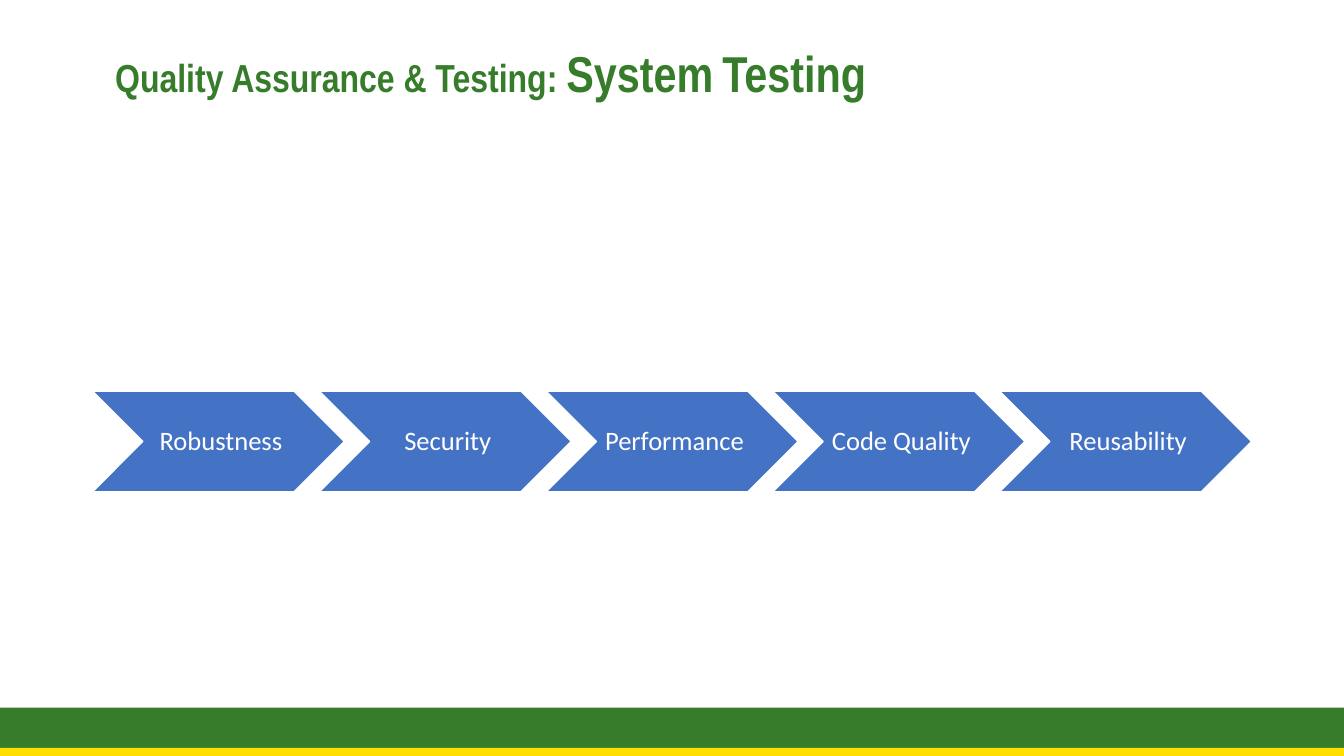
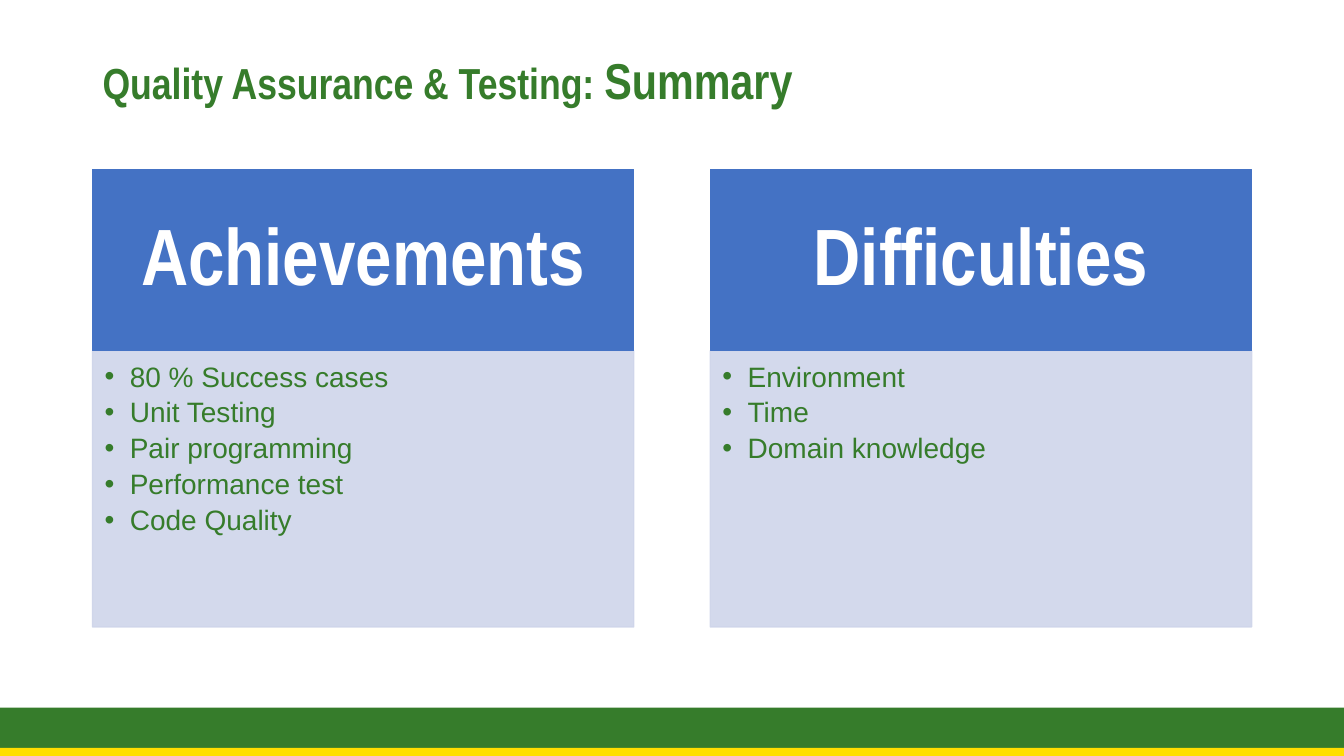
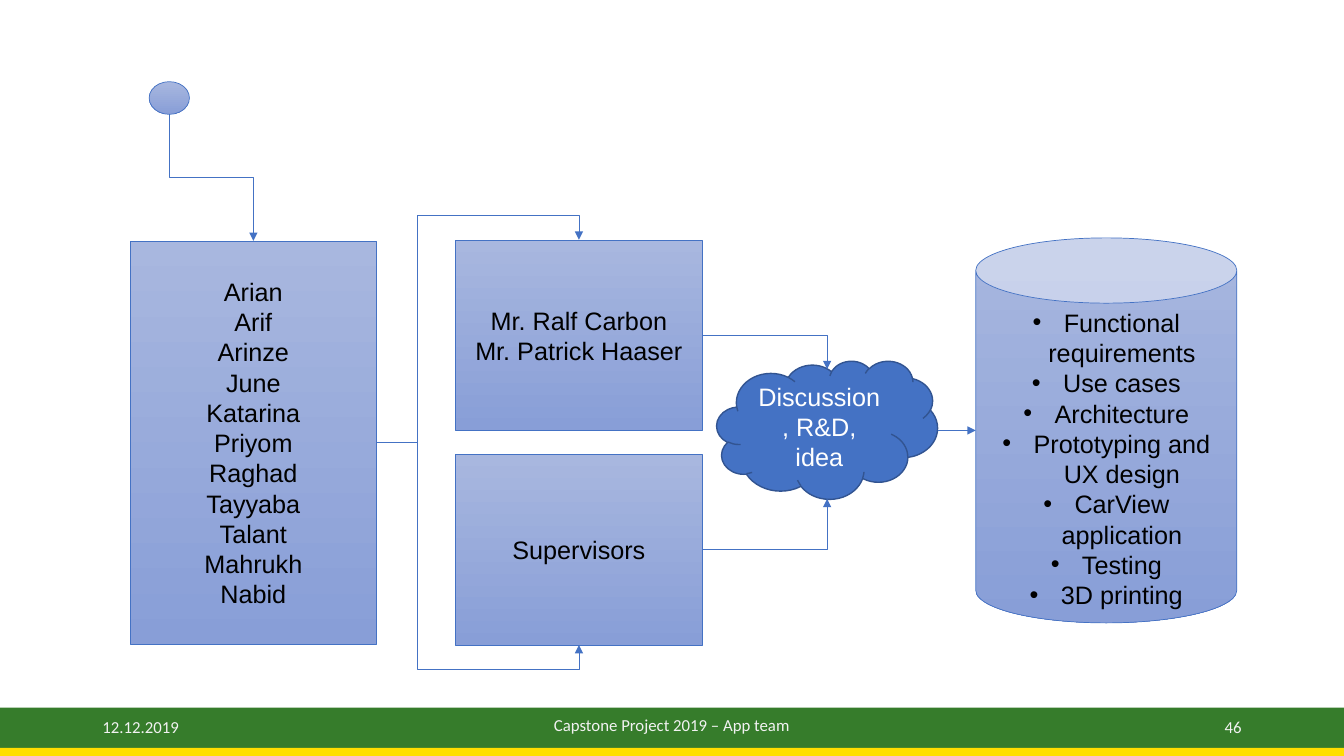
from dataclasses import dataclass, replace
from typing import Any, Optional

from lxml.etree import SubElement
from pptx import Presentation
from pptx.dml.color import RGBColor
from pptx.enum.shapes import MSO_CONNECTOR, MSO_SHAPE
from pptx.enum.text import MSO_ANCHOR, MSO_AUTO_SIZE, PP_ALIGN
from pptx.oxml.ns import qn
from pptx.util import Emu, Inches, Pt

SLIDE_WIDTH, SLIDE_HEIGHT = Inches(13.333), Inches(7.5)
GREEN, YELLOW, BLUE, WHITE = "367C2B", "FFDE00", "4472C4", "FFFFFF"
PALE, NAVY, BLACK, FOOTER_GREY = "CFD5EA", "325491", "000000", "F2F2F2"
GRADIENT = ("A8B7DF", "889ED7")
MARGIN, CONTENT = 6.88, 86.25  # percent of the slide width


@dataclass(frozen=True)
class Box:
    """A place on the page, in percent of the slide's width and height."""
    left: float
    top: float
    width: float
    height: float

    def values(self) -> dict[str, Emu]:
        return {
            "left": Emu(int(SLIDE_WIDTH * self.left / 100)),
            "top": Emu(int(SLIDE_HEIGHT * self.top / 100)),
            "width": Emu(int(SLIDE_WIDTH * self.width / 100)),
            "height": Emu(int(SLIDE_HEIGHT * self.height / 100)),
        }


@dataclass(frozen=True)
class Style:
    size: float
    color: str
    font: str = "Arial"
    bold: bool = False
    align: PP_ALIGN = PP_ALIGN.CENTER
    anchor: MSO_ANCHOR = MSO_ANCHOR.MIDDLE
    insets: tuple[float, float, float, float] = (0.1, 0.05, 0.1, 0.05)
    line_spacing: float = 1.0
    space_after: float = 0
    bullet_indent: float = 0
    wrap: bool = True


@dataclass(frozen=True)
class Span:
    text: str
    size: Optional[float] = None


@dataclass(frozen=True)
class Panel:
    heading: str
    items: list[str]


@dataclass(frozen=True)
class Node:
    name: str
    kind: MSO_SHAPE
    box: Box
    lines: list[str]
    style: Style
    fill: tuple[str, ...] = GRADIENT
    line: tuple[str, float] = (BLUE, 0.5)


@dataclass(frozen=True)
class End:
    """A connection site, and its place as shares of the node's box."""
    node: str
    site: int
    across: float
    down: float


@dataclass(frozen=True)
class Link:
    start: End
    end: End
    preset: str
    bends: tuple[float, ...] = ()
    vertical: bool = False


TITLE = Style(36, GREEN, "Arial Narrow", True, PP_ALIGN.LEFT, line_spacing=0.9)
CHEVRON = Style(19, WHITE, "Calibri", insets=(0.08, 0.03, 0.03, 0.03),
                line_spacing=0.9, wrap=False)
PANEL_HEAD = Style(57, WHITE, "Arial Narrow", True,
                   insets=(0.44, 0.25, 0.44, 0.25), line_spacing=0.9)
PANEL_LIST = Style(20, GREEN, align=PP_ALIGN.LEFT, anchor=MSO_ANCHOR.TOP,
                   insets=(0.12, 0.12, 0.16, 0.17), line_spacing=0.9,
                   space_after=4, bullet_indent=0.25)
FOOTER = Style(12, FOOTER_GREY, "Calibri")
NODE = Style(18, BLACK)
CAN = replace(NODE, insets=(0.1, 0.28, 0.1, 0.05), bullet_indent=0.31)

STEPS = ["Robustness", "Security", "Performance", "Code Quality", "Reusability"]
PANELS = [
    Panel("Achievements", ["80 % Success cases", "Unit Testing", "Pair programming",
                           "Performance test", "Code Quality"]),
    Panel("Difficulties", ["Environment", "Time", "Domain knowledge"]),
]
NODES = [
    Node("start", MSO_SHAPE.OVAL, Box(11.1, 10.8, 3, 4.33), [], NODE),
    Node("team", MSO_SHAPE.RECTANGLE, Box(9.68, 31.87, 18.35, 53.33),
         ["Arian", "Arif", "Arinze", "June", "Katarina", "Priyom", "Raghad",
          "Tayyaba", "Talant", "Mahrukh", "Nabid"], NODE),
    Node("clients", MSO_SHAPE.RECTANGLE, Box(33.9, 31.73, 18.35, 25.2),
         ["Mr. Ralf Carbon", "Mr. Patrick Haaser"], NODE),
    Node("supervisors", MSO_SHAPE.RECTANGLE, Box(33.9, 60.13, 18.35, 25.2),
         ["Supervisors"], NODE),
    Node("results", MSO_SHAPE.CAN, Box(72.6, 31.47, 19.43, 50.93),
         ["Functional requirements", "Use cases", "Architecture",
          "Prototyping and UX design", "CarView application", "Testing",
          "3D printing"], CAN),
    Node("discussion", MSO_SHAPE.CLOUD, Box(53.33, 47.73, 16.43, 18.27),
         ["Discussion, R&D, idea"], replace(NODE, color=WHITE), (BLUE,), (NAVY, 1)),
]
TEAM_RIGHT = End("team", 3, 1, 0.5)
LINKS = [
    Link(End("start", 4, 0.5, 1), End("team", 0, 0.5, 0), "bentConnector3", (0.5,), True),
    Link(TEAM_RIGHT, End("clients", 0, 0.5, 0), "bentConnector4", (0.2, 1.12)),
    Link(TEAM_RIGHT, End("supervisors", 2, 0.5, 1), "bentConnector4", (0.2, 1.12)),
    Link(End("clients", 3, 1, 0.5), End("discussion", 3, 0.5, 0.06), "bentConnector2"),
    Link(End("supervisors", 3, 1, 0.5), End("discussion", 1, 0.5, 1), "bentConnector2"),
    Link(End("discussion", 0, 1, 0.5), End("results", 2, 0, 0.5), "bentConnector3", (0.5,)),
]


def rgb(value: str) -> RGBColor:
    return RGBColor.from_string(value)


def apply(target: Any, values: dict[str, Any]) -> None:
    for name, value in values.items():
        setattr(target, name, value)


def write(frame: Any, paragraphs: list[list[Span]], style: Style) -> None:
    """Fill a text frame with styled paragraphs."""
    left, top, right, bottom = map(Inches, style.insets)
    apply(frame, {"auto_size": MSO_AUTO_SIZE.NONE, "word_wrap": style.wrap,
                  "vertical_anchor": style.anchor, "margin_left": left,
                  "margin_top": top, "margin_right": right, "margin_bottom": bottom})
    for index, spans in enumerate(paragraphs):
        para = frame.add_paragraph() if index else frame.paragraphs[0]
        if style.bullet_indent:
            properties = para._p.get_or_add_pPr()
            indent = Inches(style.bullet_indent)
            properties.set("marL", str(indent))
            properties.set("indent", str(-indent))
            SubElement(properties, qn("a:buFont"), typeface="Arial")
            SubElement(properties, qn("a:buChar"), char="•")
        apply(para, {"alignment": style.align, "line_spacing": style.line_spacing,
                     "space_before": Pt(0), "space_after": Pt(style.space_after)})
        for span in spans:
            run = para.add_run()
            run.text = span.text
            apply(run.font, {"name": style.font, "size": Pt(span.size or style.size),
                             "bold": style.bold})
            run.font.color.rgb = rgb(style.color)


def as_paragraphs(lines: list[str]) -> list[list[Span]]:
    return [[Span(line)] for line in lines]


def paint(shape: Any, fill: tuple[str, ...], line: Optional[tuple[str, float]]) -> None:
    """One colour gives a plain fill, two give a gradient from top to bottom."""
    if len(fill) > 1:
        shape.fill.gradient()
        shape.fill.gradient_angle = 270
        for stop, color in zip(shape.fill.gradient_stops, fill):
            stop.color.rgb = rgb(color)
    else:
        shape.fill.solid()
        shape.fill.fore_color.rgb = rgb(fill[0])
    if line:
        shape.line.color.rgb = rgb(line[0])
        shape.line.width = Pt(line[1])
    else:
        shape.line.fill.background()


def add_box(page: Any, kind: MSO_SHAPE, box: Box, fill: tuple[str, ...],
            line: Optional[tuple[str, float]] = None) -> Any:
    shape = page.shapes.add_shape(kind, **box.values())
    shape.shadow.inherit = False
    paint(shape, fill, line)
    return shape


def add_page(deck: Any, layout: int) -> Any:
    """Add a page with the green and yellow bands at its foot."""
    page = deck.slides.add_slide(deck.slide_layouts[layout])
    for box, color in ((Box(0, 93.6, 100, 5.33), GREEN), (Box(0, 98.93, 100, 1.07), YELLOW)):
        add_box(page, MSO_SHAPE.RECTANGLE, box, (color,))
    return page


def set_title(page: Any, top: float, spans: list[Span]) -> None:
    apply(page.shapes.title, Box(MARGIN, top, CONTENT, 9).values())
    write(page.shapes.title.text_frame, [spans], TITLE)


def add_link(page: Any, link: Link, shapes: dict[str, Any]) -> None:
    """Draw an elbow arrow between two nodes and join it to their sites."""
    points = []
    for end in (link.start, link.end):
        shape = shapes[end.node]
        points += [Emu(int(shape.left + shape.width * end.across)),
                   Emu(int(shape.top + shape.height * end.down))]
    connector = page.shapes.add_connector(MSO_CONNECTOR.ELBOW, *points)
    connector.line.color.rgb = rgb(BLUE)
    connector.line.width = Pt(0.5)
    properties = connector._element.spPr
    # A link that leaves downwards is a turned and mirrored one
    if link.vertical:
        width, height = connector.width, connector.height
        shift = (width - height) // 2
        apply(connector, {"left": Emu(connector.left + shift),
                          "top": Emu(connector.top - shift),
                          "width": height, "height": width})
        frame = properties.find(qn("a:xfrm"))
        frame.set("rot", "16200000")
        frame.set("flipH", "1")
    # Route
    geometry = properties.find(qn("a:prstGeom"))
    geometry.set("prst", link.preset)
    guides = geometry.find(qn("a:avLst"))
    if guides is None:
        guides = SubElement(geometry, qn("a:avLst"))
    for number, bend in enumerate(link.bends, 1):
        SubElement(guides, qn("a:gd"), name=f"adj{number}", fmla=f"val {round(bend * 100000)}")
    # Arrowhead, no shadow, joints
    SubElement(connector.line._get_or_add_ln(), qn("a:tailEnd"), type="triangle")
    SubElement(properties, qn("a:effectLst"))
    joints = connector._element.find(qn("p:nvCxnSpPr")).find(qn("p:cNvCxnSpPr"))
    for tag, end in (("a:stCxn", link.start), ("a:endCxn", link.end)):
        SubElement(joints, qn(tag), id=str(shapes[end.node].shape_id), idx=str(end.site))


def build_system_testing(deck: Any) -> None:
    page = add_page(deck, 5)
    set_title(page, 5.33, [Span(" ", 39.6), Span("Quality Assurance & Testing: ", 27.9),
                           Span("System"), Span(" ", 27.9), Span("Testing")])
    width = 18.75
    pitch = (CONTENT - width) / (len(STEPS) - 1)
    for index, step in enumerate(STEPS):
        box = Box(MARGIN + index * pitch, 51.73, width, 13.33)
        chevron = add_box(page, MSO_SHAPE.CHEVRON, box, (BLUE,), (WHITE, 1))
        write(chevron.text_frame, as_paragraphs([step]), CHEVRON)


def build_summary(deck: Any) -> None:
    page = add_page(deck, 3)
    set_title(page, 6.53, [Span("Quality Assurance & Testing: ", 31), Span("Summary")])
    width = 40.28
    for index, panel in enumerate(PANELS):
        left = MARGIN + index * (CONTENT - width)
        head = add_box(page, MSO_SHAPE.RECTANGLE, Box(left, 22.4, width, 24), (BLUE,), (BLUE, 1))
        write(head.text_frame, as_paragraphs([panel.heading]), PANEL_HEAD)
        body = page.placeholders[index + 1]
        apply(body, Box(left, 46.4, width, 36.53).values())
        paint(body, (PALE,), (PALE, 1))
        for color in body._element.spPr.iter(qn("a:srgbClr")):
            SubElement(color, qn("a:alpha"), val="90000")
        write(body.text_frame, as_paragraphs(panel.items), PANEL_LIST)


def build_process(deck: Any) -> None:
    page = add_page(deck, 6)
    # Footer
    for box, text, align in (
        (Box(MARGIN, 93.47, 22.5, 5.33), "12.12.2019", PP_ALIGN.LEFT),
        (Box(33.12, 93.2, 33.75, 5.33), "Capstone Project 2019 – App team", PP_ALIGN.CENTER),
        (Box(70.63, 93.47, 22.5, 5.33), "46", PP_ALIGN.RIGHT),
    ):
        label = page.shapes.add_textbox(**box.values())
        write(label.text_frame, as_paragraphs([text]), replace(FOOTER, align=align))
    # Nodes and the arrows between them
    shapes = {}
    for node in NODES:
        shapes[node.name] = add_box(page, node.kind, node.box, node.fill, node.line)
        write(shapes[node.name].text_frame, as_paragraphs(node.lines), node.style)
    for link in LINKS:
        add_link(page, link, shapes)


def main() -> None:
    deck = Presentation()
    apply(deck, {"slide_width": SLIDE_WIDTH, "slide_height": SLIDE_HEIGHT})
    build_system_testing(deck)
    build_summary(deck)
    build_process(deck)
    deck.save("out.pptx")


if __name__ == "__main__":
    main()
